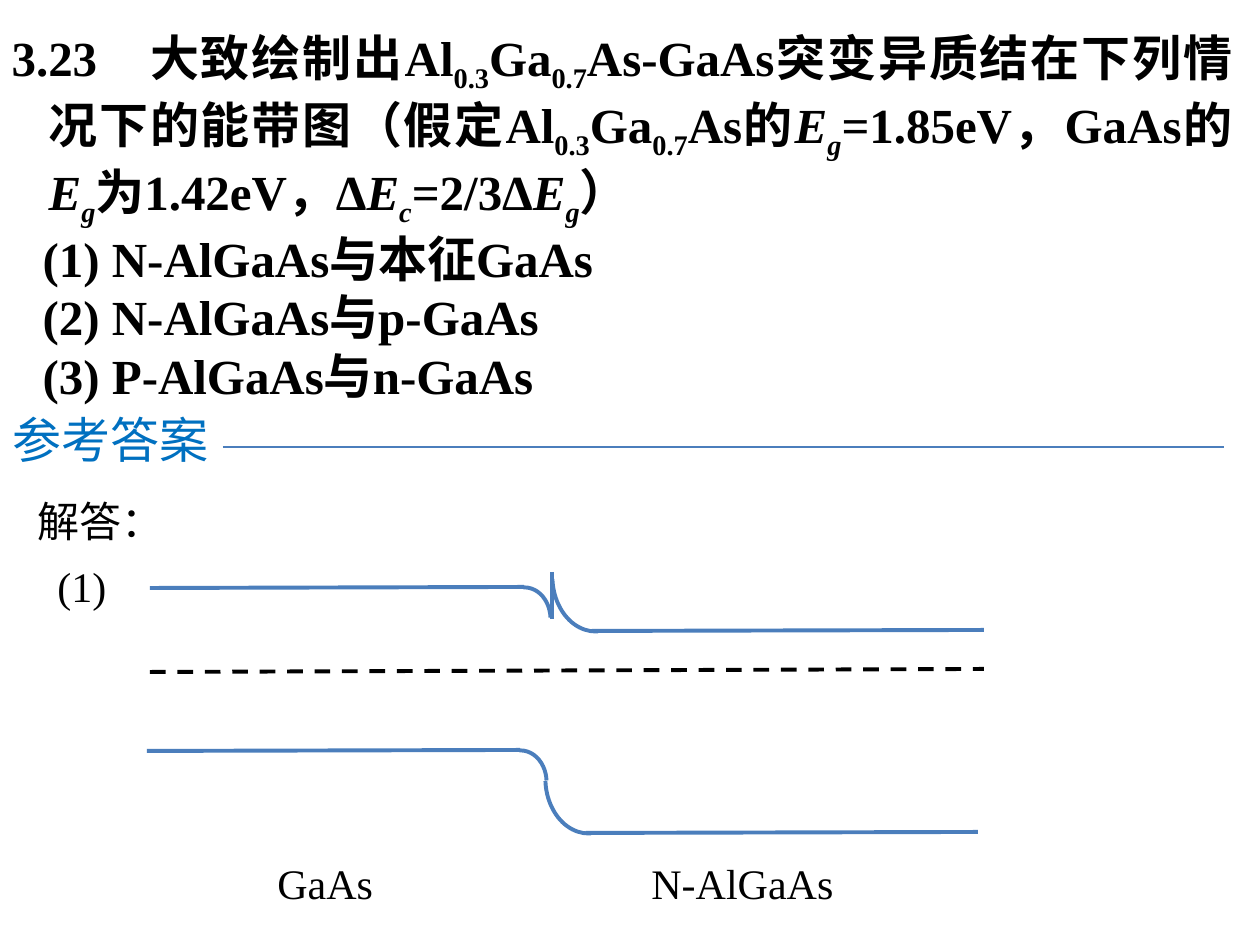
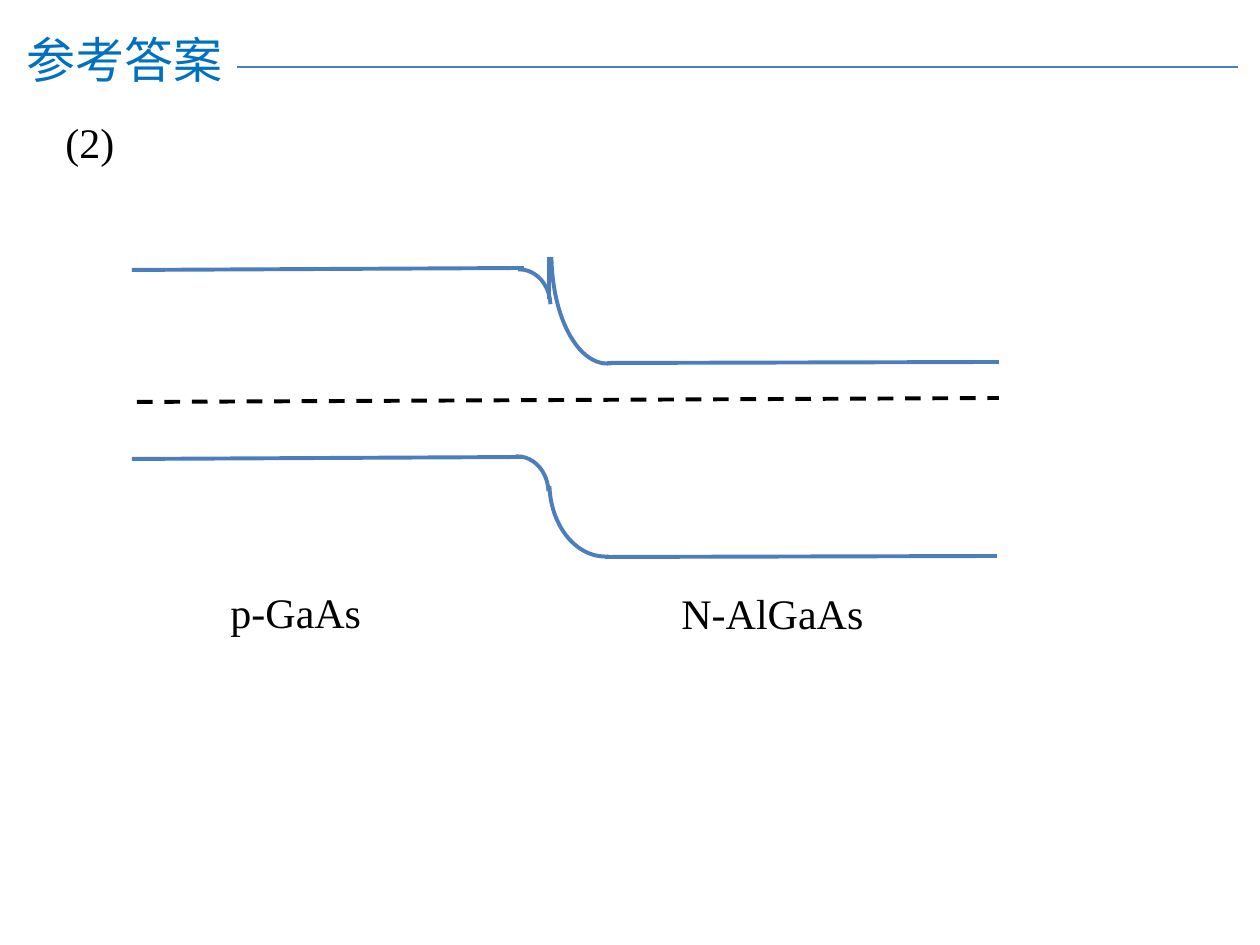
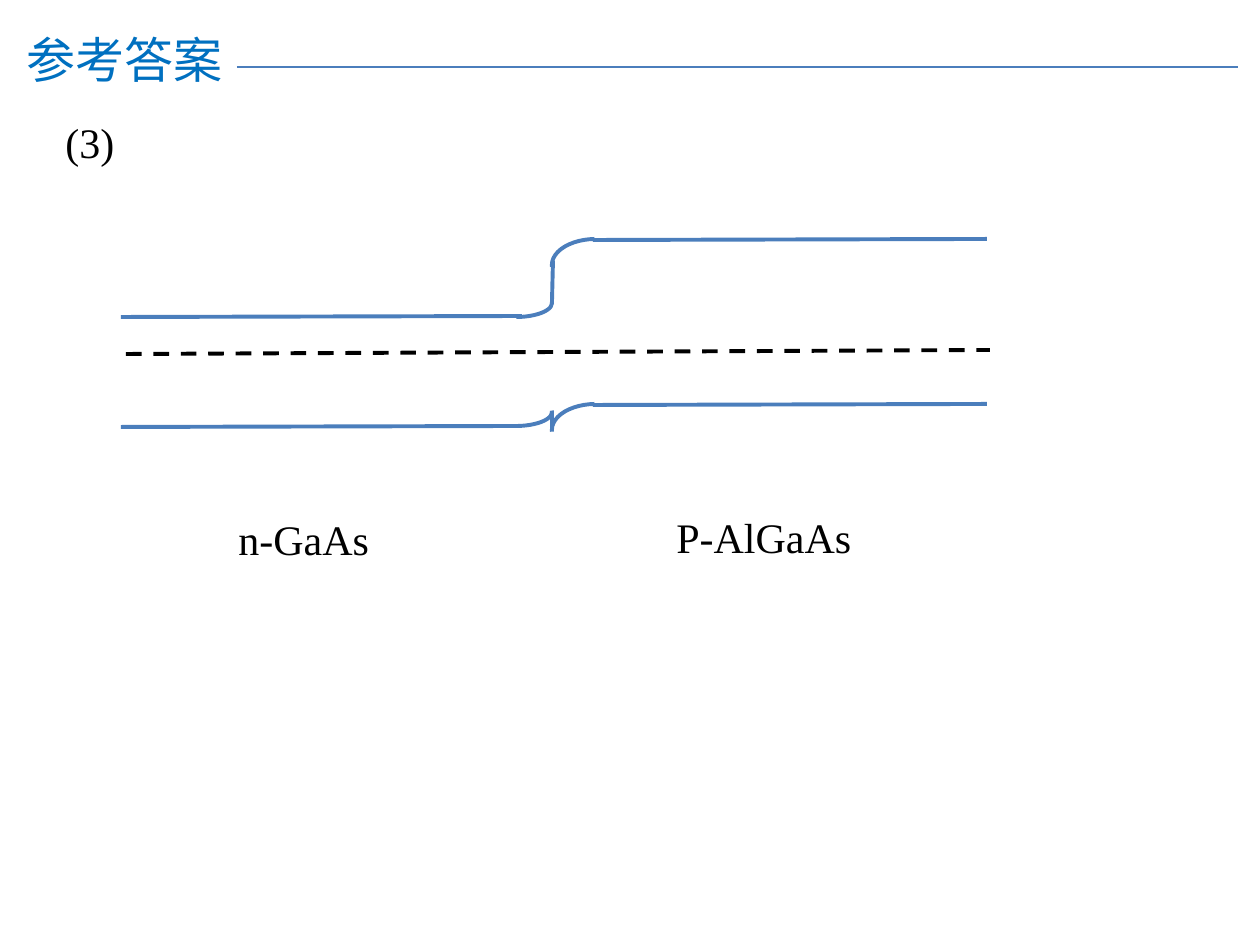
from pptx import Presentation, util as u
from pptx.dml.color import RGBColor
from pptx.enum import dml, shapes, text
from pptx.oxml.ns import qn
from lxml import etree

PX = 914400 // 126
COLOURS = {"heading": "0070C0", "band": "4B7EBC", "ink": "000000"}
LATIN, CHINESE = "Times New Roman", "Noto Sans CJK SC"
ARC_START, ARC_END = 106.64, 160.07  # left to top quarter

FORMATS = {
    "plain": {},
    "sub": {"baseline": "-25000"},
    "italic": {"i": "1"},
    "italic sub": {"i": "1", "baseline": "-25000"},
}

QUESTION = [
    ("3.23　大致绘制出Al", "plain"), ("0.3", "sub"), ("Ga", "plain"), ("0.7", "sub"),
    ("As-GaAs突变异质结在下列情况下的能带图（假定Al", "plain"), ("0.3", "sub"),
    ("Ga", "plain"), ("0.7", "sub"), ("As的", "plain"),
    ("E", "italic"), ("g", "italic sub"), ("=1.85eV，GaAs的", "plain"),
    ("E", "italic"), ("g", "italic sub"), ("为1.42eV，Δ", "plain"),
    ("E", "italic"), ("c", "italic sub"), ("=2/3Δ", "plain"),
    ("E", "italic"), ("g", "italic sub"), ("）", "plain"),
]
CASES = ["(1) N-AlGaAs与本征GaAs", "(2) N-AlGaAs与p-GaAs", "(3) P-AlGaAs与n-GaAs"]

# Lines are x1, y1, x2, y2; arcs are left, top, width, height, rotation;
# labels are text, left, top, width.
DIAGRAMS = [
    {
        "heading": (0, 403),
        "labels": [("(1)", 45, 554, 86), ("GaAs", 265, 851, 132), ("N-AlGaAs", 639, 851, 209)],
        "fermi": (150, 672, 984, 669),
        "bands": [(150, 588, 524, 587), (552, 572, 552, 619), (592, 631, 984, 630),
                  (147, 751, 520, 750), (586, 833, 978, 832)],
        "bends": [(493, 593, 63, 52, 90), (541, 533, 110, 87, 270),
                  (489, 756, 63, 52, 90), (534, 735, 110, 87, 270)],
    },
    {
        "heading": (14, 23),
        "labels": [("(2)", 53, 110, 86), ("p-GaAs", 218, 580, 157), ("N-AlGaAs", 669, 581, 209)],
        "fermi": (137, 402, 999, 398),
        "bands": [(132, 270, 524, 268), (549, 257, 549, 299), (607, 363, 999, 362),
                  (132, 459, 524, 457), (605, 557, 997, 556)],
        "bends": [(483, 275, 73, 62, 90), (498, 198, 219, 112, 270),
                  (481, 462, 73, 62, 90), (532, 427, 147, 112, 270)],
    },
    {
        "heading": (14, 23),
        "labels": [("(3)", 53, 110, 86), ("n-GaAs", 226, 507, 157), ("P-AlGaAs", 664, 505, 203)],
        "fermi": (126, 354, 990, 350),
        "bands": [(121, 317, 522, 316), (553, 261, 552, 302), (593, 240, 987, 239),
                  (121, 427, 522, 426), (552, 411, 552, 431), (593, 405, 987, 404)],
        "bends": [(479, 289, 73, 28, 180), (552, 239, 88, 52, 0),
                  (479, 398, 73, 28, 180), (552, 404, 88, 52, 0)],
    },
]


def write(para, pieces, size, colour="ink", latin=LATIN, bold=False):
    """Add runs, each given as a text and the name of its format."""
    for words, style in pieces:
        span = para.add_run()
        span.text = words
        for name, value in {"size": u.Pt(size), "bold": bold, "name": latin}.items():
            setattr(span.font, name, value)
        span.font.color.rgb = RGBColor.from_string(COLOURS[colour])
        props = span._r.get_or_add_rPr()
        etree.SubElement(props, qn("a:ea")).set("typeface", CHINESE)
        for name, value in FORMATS[style].items():
            props.set(name, value)


def add_line(page, ends, colour, width, dash=None):
    line = page.shapes.add_connector(shapes.MSO_CONNECTOR.STRAIGHT, *[PX * n for n in ends])
    line.line.color.rgb = RGBColor.from_string(COLOURS[colour])
    line.line.width = u.Pt(width)
    line.line.dash_style = dash
    etree.SubElement(line._element.spPr, qn("a:effectLst"))


deck = Presentation()
deck.slide_width, deck.slide_height = 1260 * PX, 945 * PX
title_and_body, title_only = deck.slide_layouts[1], deck.slide_layouts[5]

for number, diagram in enumerate(DIAGRAMS):
    page = deck.slides.add_slide(title_only if number else title_and_body)

    # Heading and its rule
    x, y = diagram["heading"]
    title = page.shapes.title
    title.left, title.top, title.width, title.height = [PX * n for n in (x, y, 223, 72)]
    frame = title.text_frame
    frame.word_wrap = False
    frame.auto_size = text.MSO_AUTO_SIZE.NONE
    frame.vertical_anchor = text.MSO_ANCHOR.TOP
    frame.paragraphs[0].alignment = text.PP_ALIGN.LEFT
    write(frame.paragraphs[0], [("参考答案", "plain")], 28, "heading", CHINESE)
    add_line(page, (x + 223, y + 44, x + 1224, y + 44), "band", 1.5)

    # Energy bands, Fermi level and bends at the junction
    for ends in diagram["bands"]:
        add_line(page, ends, "band", 2.25)
    add_line(page, diagram["fermi"], "ink", 2.25, dml.MSO_LINE.DASH)
    for *place, turn in diagram["bends"]:
        bend = page.shapes.add_shape(shapes.MSO_SHAPE.ARC, *[PX * n for n in place])
        bend.adjustments[0], bend.adjustments[1] = ARC_START, ARC_END
        bend.rotation = turn
        bend.shadow.inherit = False
        bend.fill.background()
        bend.line.color.rgb = RGBColor.from_string(COLOURS["band"])
        bend.line.width = u.Pt(2.25)

    for words, left, top, width in diagram["labels"]:
        box = page.shapes.add_textbox(*[PX * n for n in (left, top, width, 63)])
        box.text_frame.word_wrap = False
        write(box.text_frame.paragraphs[0], [(words, "plain")], 24)

# The question on the first page
page = deck.slides[0]
body = page.placeholders[1]
body.left, body.top, body.width, body.height = [PX * n for n in (-1, 21, 1246, 369)]
frame = body.text_frame
frame.auto_size = text.MSO_AUTO_SIZE.NONE
paragraphs = [(QUESTION, 37, -37)] + [([(case, "plain")], 63, -32) for case in CASES]
for index, (pieces, margin, indent) in enumerate(paragraphs):
    para = frame.add_paragraph() if index else frame.paragraphs[0]
    para.alignment = text.PP_ALIGN.JUSTIFY
    para.space_before = u.Pt(0)
    props = para._p.get_or_add_pPr()
    props.set("marL", str(margin * PX))
    props.set("indent", str(indent * PX))
    etree.SubElement(props, qn("a:buNone"))
    write(para, pieces, 28, bold=True)

answer = page.shapes.add_textbox(*[PX * n for n in (25, 464, 152, 77)])
answer.text_frame.word_wrap = False
para = answer.text_frame.paragraphs[0]
para.alignment = text.PP_ALIGN.JUSTIFY
para.line_spacing = 1.5
write(para, [("解答：", "plain")], 24, latin=CHINESE)

deck.save("out.pptx")
